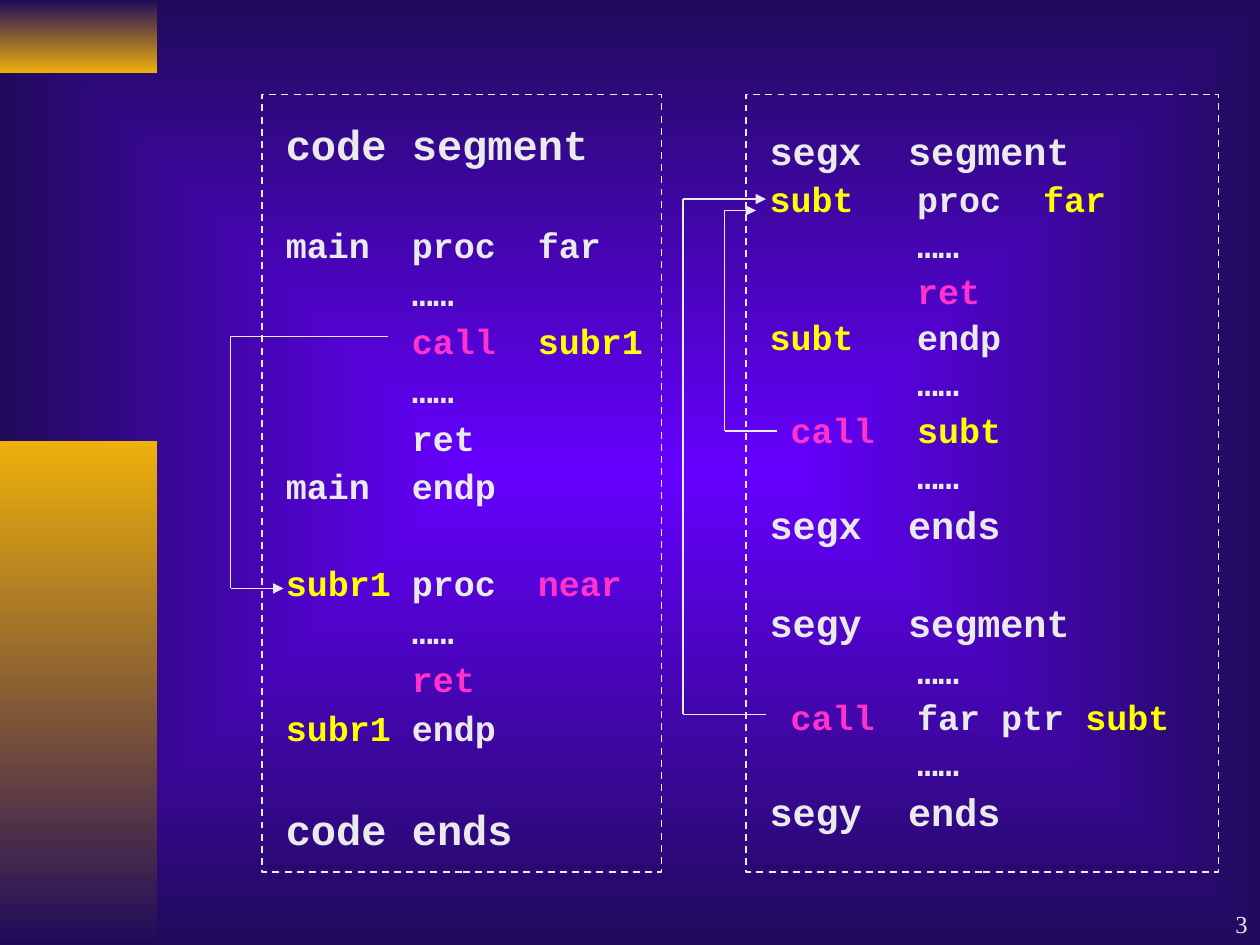
from itertools import pairwise

from lxml import etree
from pptx import Presentation
from pptx.dml.color import RGBColor
from pptx.enum import dml, shapes, text
from pptx.oxml.ns import qn
from pptx.util import Inches, Pt

WHITE, YELLOW, PINK = "EAEAEA", "FFFF00", "FF33CC"
NAVY, VIOLET, GOLD = "200B5B", "6600FF", "EEB00B"
MONO, SERIF = "Courier New", "Times New Roman"

DOTS = [("\t……", WHITE)]
RET = [("\tret", PINK)]

# Each line: size, blank line above, runs of (text, colour)
NEAR_CODE = [
    (24, False, [("code segment", WHITE)]),
    (20, True, [("main\tproc\tfar", WHITE)]),
    (20, False, DOTS),
    (20, False, [("\tcall\t", PINK), ("subr1", YELLOW)]),
    (20, False, DOTS),
    (20, False, [("\tret", WHITE)]),
    (20, False, [("main\tendp", WHITE)]),
    (20, True, [("subr1", YELLOW), ("\tproc\t", WHITE), ("near", PINK)]),
    (20, False, DOTS),
    (20, False, RET),
    (20, False, [("subr1", YELLOW), ("\tendp", WHITE)]),
    (24, True, [("code ends", WHITE)]),
]
FAR_CODE = [
    (22, False, [("segx\tsegment", WHITE)]),
    (20, False, [("subt", YELLOW), ("\tproc\t", WHITE), ("far", YELLOW)]),
    (20, False, DOTS),
    (20, False, RET),
    (20, False, [("subt", YELLOW), ("\tendp", WHITE)]),
    (20, False, DOTS),
    (20, False, [(" call\t", PINK), ("subt", YELLOW)]),
    (20, False, DOTS),
    (22, False, [("segx\tends", WHITE)]),
    (22, True, [("segy\tsegment", WHITE)]),
    (20, False, DOTS),
    (20, False, [(" call", PINK), ("\tfar ptr ", WHITE), ("subt", YELLOW)]),
    (20, False, DOTS),
    (22, False, [("segy\tends", WHITE)]),
]
# Tab stops are in inches, by text size
PANELS = [
    dict(frame=(2.08, 0.75, 3.17, 6.17), box=(2.17, 0.83, 3.17, 6.01),
         lines=NEAR_CODE, spacing=1.15, gap=27.5, tabs={20: (1, 2), 24: ()}),
    dict(frame=(5.92, 0.75, 3.75, 6.17), box=(6.01, 0.92, 3.56, 5.75),
         lines=FAR_CODE, spacing=1.1, gap=27, tabs={20: (1.17, 2.17), 22: (1.1,)}),
]
BANDS = [((0, 0, 1.25, 0.58), NAVY, GOLD), ((0, 3.5, 1.25, 4), GOLD, NAVY)]
CALL_ROUTES = [
    [(3.08, 2.67), (1.83, 2.67), (1.83, 4.67), (2.25, 4.67)],
    [(6.17, 3.42), (5.75, 3.42), (5.75, 1.67), (6, 1.67)],
    [(6.08, 5.67), (5.42, 5.67), (5.42, 1.58), (6.08, 1.58)],
]


def rgb(value):
    return RGBColor.from_string(value)


def inches(values):
    return [Inches(v) for v in values]


def set_gradient(fill, *colors):
    fill.gradient()
    for stop, color in zip(fill.gradient_stops, colors):
        stop.color.rgb = rgb(color)


def paint_background(slide):
    """Rectangular gradient spreading from the slide's centre."""
    fill = slide.background.fill
    set_gradient(fill, VIOLET, NAVY)
    lin = next(slide._element.iter(qn("a:lin")))
    grad = lin.getparent()
    grad.remove(lin)
    route = etree.SubElement(grad, qn("a:path"), {"path": "rect"})
    etree.SubElement(route, qn("a:fillToRect"), dict.fromkeys("ltrb", "50000"))


def add_rect(slide, at):
    sp = slide.shapes.add_shape(shapes.MSO_SHAPE.RECTANGLE, *inches(at))
    sp.shadow.inherit = False
    return sp


def add_run(p, words, color, font, size, bold=False):
    r = p.add_run()
    r.text = words
    for name, value in dict(name=font, size=Pt(size), bold=bold).items():
        setattr(r.font, name, value)
    r.font.color.rgb = rgb(color)
    for tag in ("a:ea", "a:cs"):
        etree.SubElement(r.font._element, qn(tag), typeface=font)


def add_text_box(slide, at, **settings):
    tf = slide.shapes.add_textbox(*inches(at)).text_frame
    for name, value in dict(word_wrap=True, **settings).items():
        setattr(tf, name, value)
    return tf


def add_tabs(p, stops):
    tab_list = etree.SubElement(p._p.get_or_add_pPr(), qn("a:tabLst"))
    for stop in stops:
        etree.SubElement(tab_list, qn("a:tab"), pos=str(Inches(stop)), algn="l")


def add_panel(slide, frame, box, lines, spacing, gap, tabs):
    tf = add_text_box(slide, box, auto_size=text.MSO_AUTO_SIZE.SHAPE_TO_FIT_TEXT)
    for i, (size, blank_above, runs) in enumerate(lines):
        p = tf.add_paragraph() if i else tf.paragraphs[0]
        p.alignment = text.PP_ALIGN.JUSTIFY
        p.line_spacing = spacing
        p.space_before = Pt(gap if blank_above else 0)
        add_tabs(p, tabs[size])
        for words, color in runs:
            add_run(p, words, color, MONO, size, bold=True)
    sp = add_rect(slide, frame)
    sp.fill.background()
    sp.line.color.rgb = rgb(WHITE)
    sp.line.width = Pt(1)
    sp.line.dash_style = dml.MSO_LINE.DASH


def add_route(slide, points):
    """Straight segments through the points, with an arrowhead on the last."""
    for start, end in pairwise(points):
        c = slide.shapes.add_connector(shapes.MSO_CONNECTOR.STRAIGHT,
                                       *inches(start + end))
        c.line.color.rgb = rgb(WHITE)
        c.line.width = Pt(1)
        etree.SubElement(c._element.spPr, qn("a:effectLst"))
    etree.SubElement(c.line._get_or_add_ln(), qn("a:tailEnd"), type="triangle")


def main():
    prs = Presentation()
    prs.slide_width, prs.slide_height = inches((10, 7.5))
    s = prs.slides.add_slide(prs.slide_layouts[6])
    paint_background(s)
    for at, top, bottom in BANDS:
        sp = add_rect(s, at)
        set_gradient(sp.fill, top, bottom)
        sp.fill.gradient_angle = 270
        sp.line.fill.background()
    for panel in PANELS:
        add_panel(s, **panel)
    for points in CALL_ROUTES:
        add_route(s, points)
    tf = add_text_box(s, (7.92, 7, 2.08, 0.5),
                      vertical_anchor=text.MSO_ANCHOR.BOTTOM)
    p = tf.paragraphs[0]
    p.alignment = text.PP_ALIGN.RIGHT
    add_run(p, "3", WHITE, SERIF, 14)
    prs.save("out.pptx")


if __name__ == "__main__":
    main()
